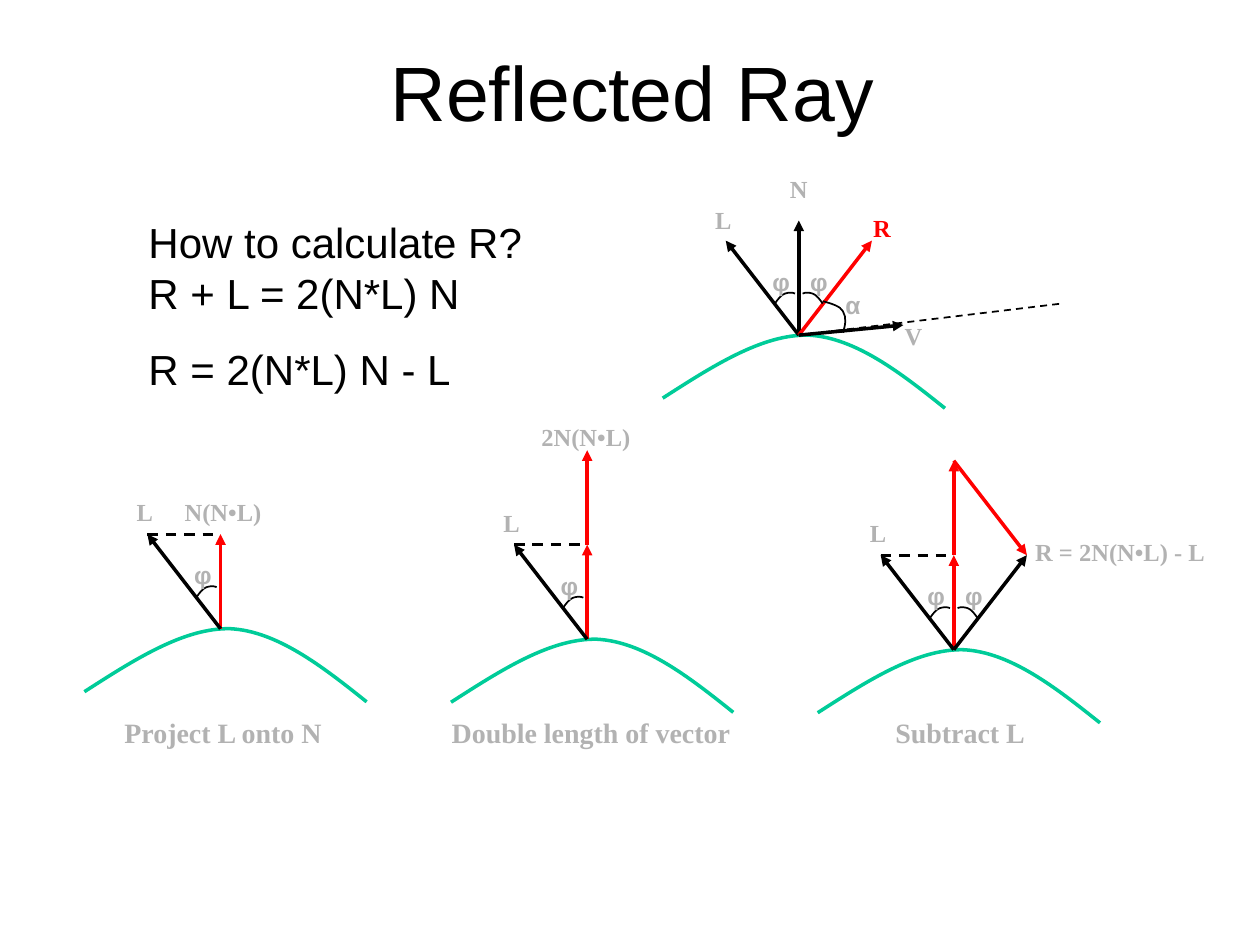
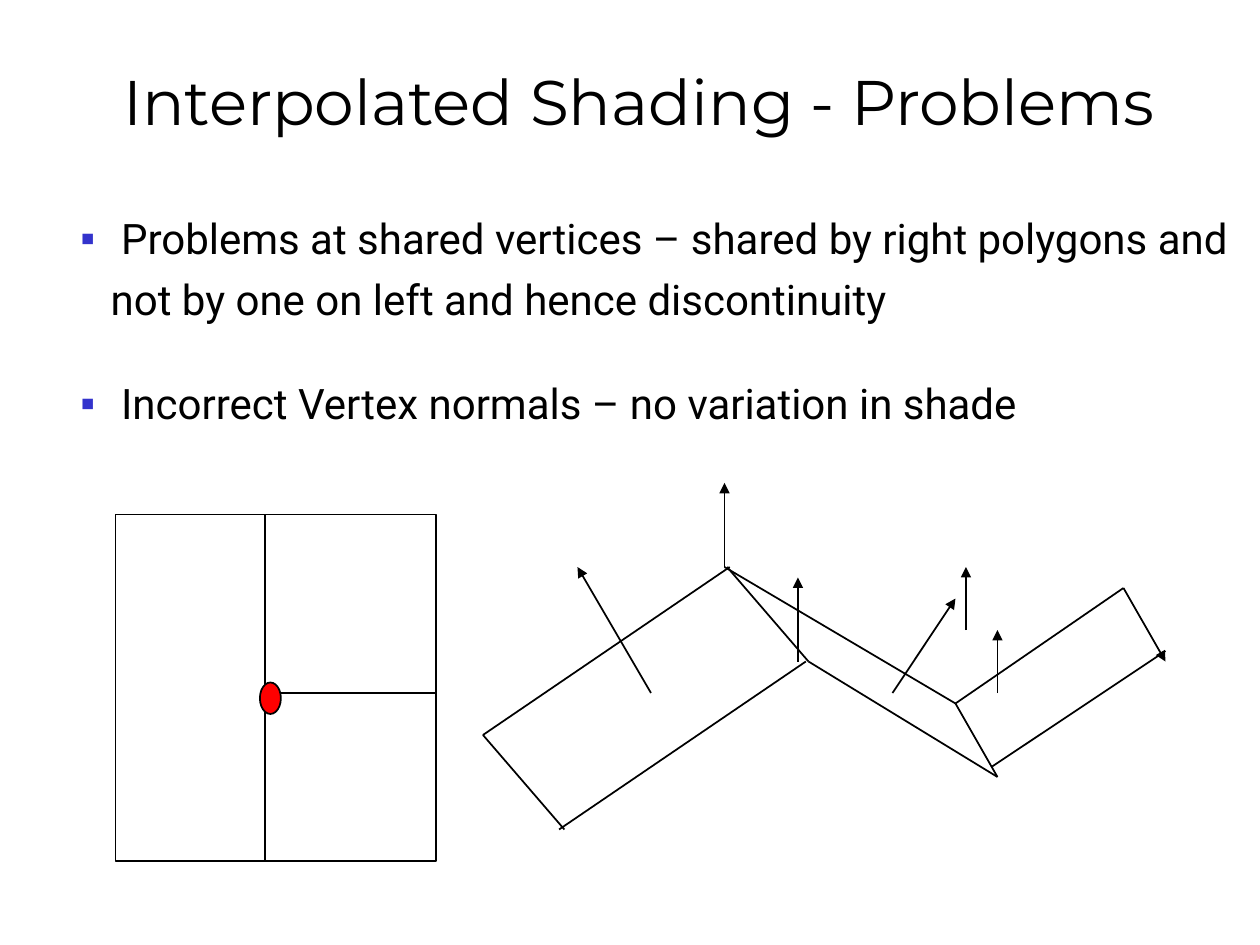
from lxml import etree
from pptx import Presentation
from pptx.dml.color import RGBColor
from pptx.enum.dml import MSO_LINE
from pptx.enum.shapes import MSO_CONNECTOR, MSO_SHAPE
from pptx.enum.text import MSO_ANCHOR, MSO_AUTO_SIZE, PP_ALIGN
from pptx.oxml.ns import qn
from pptx.util import Inches, Pt

STRAIGHT = MSO_CONNECTOR.STRAIGHT
DASH = MSO_LINE.DASH
RECTANGLE, OVAL = MSO_SHAPE.RECTANGLE, MSO_SHAPE.OVAL
LEFT, CENTER = PP_ALIGN.LEFT, PP_ALIGN.CENTER
TITLE_ONLY = 5

COLORS = {"black": "000000", "white": "FFFFFF", "red": "FF0000",
          "surface": "00CC99", "label": "B2B2B2", "bullet": "3333CC"}
SANS, SERIF = "Arial", "Times New Roman"
CELLS_PER_INCH = 12

# Offsets in inches from the point where the light meets the surface
LIGHT = (-0.58, -0.75)
MIRROR = (0.58, -0.75)
NORMAL = (0, -0.75)
DOUBLE_NORMAL = (0, -1.5)
SURFACE = [(-1.08, 0.5), (-0.69, 0.25), (-0.29, -0.01), (0.08, 0),
           (0.45, 0.02), (0.81, 0.3), (1.16, 0.58)]
PHI_ARC = [(-0.19, -0.25), (-0.17, -0.28), (-0.14, -0.32), (-0.11, -0.33),
           (-0.08, -0.34), (-0.05, -0.34), (-0.03, -0.33)]
ALPHA_ARC = [(0.19, -0.27), (0.26, -0.25), (0.33, -0.23), (0.35, -0.19),
             (0.38, -0.14), (0.37, -0.08), (0.35, -0.02)]


def rgb(name):
    return RGBColor.from_string(COLORS[name])


def write(tf, paragraphs, font=SANS, size=24, color="black", bold=False,
          align=LEFT, spacing=1.0, before=0, after=0, bullet=None,
          wrap=True, margins=(0.1, 0.05)):
    """Fill a text frame, one paragraph per string."""
    tf.auto_size = MSO_AUTO_SIZE.NONE
    tf.word_wrap = wrap
    tf.vertical_anchor = MSO_ANCHOR.TOP
    tf.margin_left = tf.margin_right = Inches(margins[0])
    tf.margin_top = tf.margin_bottom = Inches(margins[1])
    for i, text in enumerate(paragraphs):
        p = tf.add_paragraph() if i else tf.paragraphs[0]
        p.alignment, p.line_spacing = align, spacing
        p.space_before, p.space_after = Pt(before), Pt(after)
        r = p.add_run()
        r.text = text
        r.font.name, r.font.size, r.font.bold = font, Pt(size), bold
        r.font.color.rgb = rgb(color)
        if bullet:
            add_bullet(p, bullet)


def add_bullet(p, char, indent=0.24):
    pPr = p._p.get_or_add_pPr()
    pPr.set("marL", str(Inches(indent)))
    pPr.set("indent", str(-Inches(indent)))
    clr = etree.SubElement(pPr, qn("a:buClr"))
    etree.SubElement(clr, qn("a:srgbClr"), val=COLORS["bullet"])
    etree.SubElement(pPr, qn("a:buFont"), typeface=SANS)
    etree.SubElement(pPr, qn("a:buChar"), char=char)


def add_slide(prs, title, box, **style):
    slide = prs.slides.add_slide(prs.slide_layouts[TITLE_ONLY])
    sp = slide.shapes.title
    sp.left, sp.top, sp.width, sp.height = map(Inches, box)
    write(sp.text_frame, [title], align=CENTER, **style)
    return slide


def add_text(slide, paragraphs, box, **style):
    sp = slide.shapes.add_textbox(*map(Inches, box))
    write(sp.text_frame, paragraphs, **style)


def add_label(slide, text, center, font=SERIF, size=14, color="label", width=0.34):
    height = 0.31 if size == 14 else 0.34
    box = (center[0] - width / 2, center[1] - height / 2, width, height)
    add_text(slide, [text], box, font=font, size=size, color=color, bold=True,
             align=CENTER, spacing=0.9, wrap=False)


def add_line(slide, start, end, color="black", width=1, arrow=False, dash=None):
    sp = slide.shapes.add_connector(STRAIGHT, *map(Inches, (*start, *end)))
    sp.line.color.rgb = rgb(color)
    sp.line.width = Pt(width)
    if dash:
        sp.line.dash_style = dash
    if arrow:
        etree.SubElement(sp.line._get_or_add_ln(), qn("a:tailEnd"), type="triangle")
    etree.SubElement(sp._element.spPr, qn("a:effectLst"))


def add_shape(slide, kind, box, fill):
    sp = slide.shapes.add_shape(kind, *map(Inches, box))
    sp.shadow.inherit = False
    sp.fill.solid()
    sp.fill.fore_color.rgb = rgb(fill)
    sp.line.color.rgb = rgb("black")
    sp.line.width = Pt(1)


def add_curve(slide, points, color="black", width=1):
    """Draw a chain of cubic curves: a start, then three points for each."""
    start, *rest = [(Inches(x), Inches(y)) for x, y in points]
    builder = slide.shapes.build_freeform(*start)
    builder.add_line_segments(rest, close=False)
    sp = builder.convert_to_shape()
    segments = list(sp._element.iter(qn("a:lnTo")))
    for i in range(0, len(segments), 3):
        cubic = etree.Element(qn("a:cubicBezTo"))
        segments[i].addprevious(cubic)
        for segment in segments[i:i + 3]:
            cubic.append(segment[0])
            segment.getparent().remove(segment)
    sp.shadow.inherit = False
    sp.fill.background()
    sp.line.color.rgb = rgb(color)
    sp.line.width = Pt(width)


class RayDiagram:
    """A curved surface with rays placed relative to its hit point."""

    def __init__(self, slide, hit):
        self.slide, self.hit = slide, hit
        self.curve(SURFACE, color="surface", width=2)

    def at(self, offset):
        return self.hit[0] + offset[0], self.hit[1] + offset[1]

    def curve(self, offsets, **style):
        add_curve(self.slide, [self.at(o) for o in offsets], **style)

    def ray(self, end, color="black", start=(0, 0)):
        add_line(self.slide, self.at(start), self.at(end), color, 2, arrow=True)

    def dashed(self, start, end, width):
        add_line(self.slide, self.at(start), self.at(end), width=width, dash=DASH)

    def label(self, text, offset, **style):
        add_label(self.slide, text, self.at(offset), **style)

    def phi(self, side=-1):
        """Mark the angle left (-1) or right (1) of the normal."""
        self.curve([(-side * x, y) for x, y in PHI_ARC])
        self.label("φ", (side * 0.15 + 0.01, -0.41), font=SANS, width=0.3)

    def projection(self):
        self.ray(NORMAL, "red")
        self.ray(LIGHT)
        self.phi()
        self.label("L", (-0.6, -0.91))
        self.dashed(LIGHT, NORMAL, 1.5)


def draw_reflection(slide):
    d = RayDiagram(slide, (6.34, 2.66))
    d.ray((0, -0.91))
    d.ray(LIGHT)
    d.ray(MIRROR, "red")
    d.phi()
    d.phi(1)
    d.ray((0.83, -0.08))
    d.dashed((0, 0), (2.08, -0.25), 1)
    d.curve(ALPHA_ARC)
    d.label("α", (0.43, -0.23), font=SANS)
    d.label("L", (-0.6, -0.9))
    d.label("N", (0, -1.15))
    d.label("R", (0.66, -0.84), color="red")
    d.label("V", (0.91, 0.02))


def draw_steps(slide):
    captions = [("Project L onto N", 1.77, 1.78),
                ("Double length of vector", 4.69, 2.41),
                ("Subtract L", 7.62, 1.23)]
    steps = []
    for i, (caption, center, width) in enumerate(captions):
        d = RayDiagram(slide, (1.75 + 2.91 * i, 4.99 + i / CELLS_PER_INCH))
        d.projection()
        if i:
            d.ray(DOUBLE_NORMAL, "red", start=NORMAL)
        add_label(slide, caption, (center, 5.83), size=16, width=width)
        steps.append(d)
    project, double, subtract = steps
    project.label("N(N•L)", (0.02, -0.91), width=0.81)
    double.label("2N(N•L)", (-0.01, -1.59), width=0.91)
    subtract.label("R = 2N(N•L) - L", (1.32, -0.76), width=1.55)
    subtract.ray(MIRROR, "red", start=DOUBLE_NORMAL)
    subtract.ray(MIRROR)
    subtract.phi(1)


def inches(*cells):
    """Convert cells of the twelfth-inch grid to inches."""
    return tuple(c / CELLS_PER_INCH for c in cells)


def draw_shared_vertex(slide):
    left, top, right, bottom = 11, 49, 41.5, 82
    split_x, split_y = 25.25, 66
    add_shape(slide, RECTANGLE, inches(left, top, right - left, bottom - top), "white")
    add_line(slide, inches(split_x, top), inches(split_x, bottom))
    add_line(slide, inches(split_x, split_y), inches(right, split_y))
    add_shape(slide, OVAL, inches(24.75, 65, 2, 3), "red")


def draw_folded_surface(slide):
    """Draw polygon edges and normals."""
    edges = [(69.25, 54, 77, 63), (46, 70, 69.5, 54), (53.25, 79, 76.75, 63),
             (46, 70, 53.75, 79), (77, 63, 95, 74), (69, 54, 91, 67),
             (91, 67, 95, 74), (91, 67, 107, 56), (94.5, 73, 111, 62)]
    normals = [(69, 54, 69, 46), (76, 63, 76, 55), (62, 66, 55, 54),
               (85, 66, 91, 57), (92, 60, 92, 54), (95, 66, 95, 60),
               (107, 56, 111, 63)]
    for lines, arrow in ((edges, False), (normals, True)):
        for x1, y1, x2, y2 in lines:
            add_line(slide, inches(x1, y1), inches(x2, y2), arrow=arrow)


def main():
    prs = Presentation()
    prs.slide_width, prs.slide_height = Inches(10), Inches(7.5)

    slide = add_slide(prs, "Reflected Ray", (3.04, 0.33, 3.96, 0.78), size=44,
                      margins=(0, 0.02))
    draw_reflection(slide)
    draw_steps(slide)
    add_text(slide, ["How to calculate R? R + L = 2(N*L) N", "R = 2(N*L) N - L"],
             (1.08, 1.67, 3.33, 1.51), before=15)

    slide = add_slide(prs, "Interpolated Shading - Problems", (0.33, 0.33, 9.48, 0.82),
                      font="Montserrat", size=36, spacing=1.2, before=22.5, after=10)
    add_text(slide, [" Problems at shared vertices – shared by right polygons and "
                     "not by one on left and hence discontinuity",
                     " Incorrect Vertex normals – no variation in shade"],
             (0.54, 1.56, 9.34, 1.89), font="Roboto", spacing=1.2, before=15,
             after=10, bullet="▪")
    draw_shared_vertex(slide)
    draw_folded_surface(slide)

    prs.save("out.pptx")


if __name__ == "__main__":
    main()
